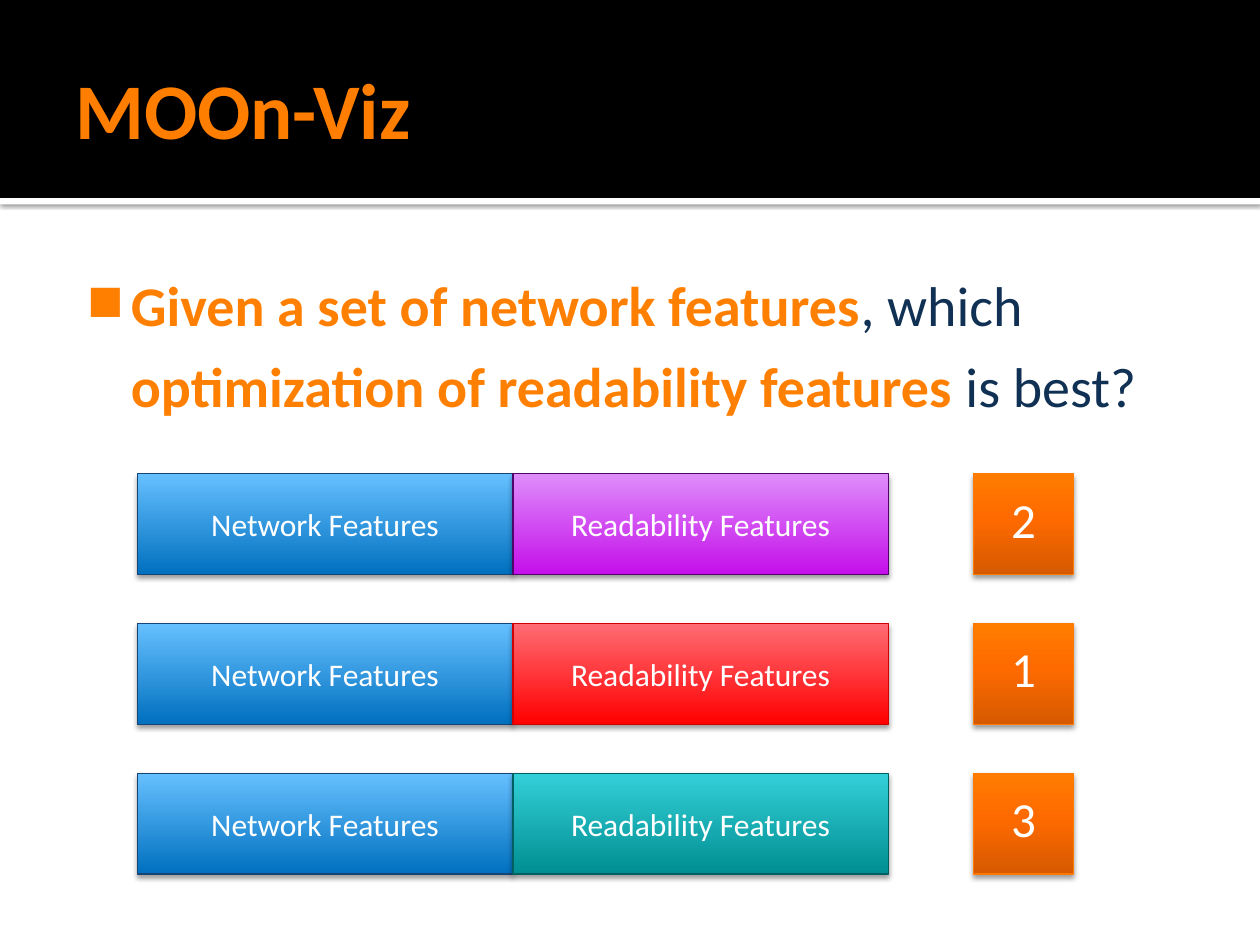
from pptx import Presentation
from pptx.dml.color import RGBColor
from pptx.enum.shapes import MSO_SHAPE
from pptx.enum.text import MSO_ANCHOR, MSO_AUTO_SIZE, PP_ALIGN
from pptx.oxml import parse_xml
from pptx.oxml.ns import nsdecls
from pptx.util import Cm, Pt

RECTANGLE = MSO_SHAPE.RECTANGLE
TOP, MIDDLE = MSO_ANCHOR.TOP, MSO_ANCHOR.MIDDLE
LEFT, CENTER = PP_ALIGN.LEFT, PP_ALIGN.CENTER
NO_AUTOFIT = MSO_AUTO_SIZE.NONE

FONT = "Calibri"
ORANGE, NAVY, WHITE, BLACK = "FF7F01", "103154", "FFFFFF", "000000"

TITLE = "MOOn-Viz"
QUESTION = [
    ("Given a set of network features", ORANGE, True),
    (", which ", NAVY, False),
    ("optimization of readability features ", ORANGE, True),
    ("is best?", NAVY, False),
]
BLUE_STYLE = ([(0, "0070BF"), (100, "66C0FF")], "164575")
PURPLE_STYLE = ([(0, "C50FEA"), (100, "DE8DFA")], "4E0468")
RED_STYLE = ([(0, "FF0000"), (100, "FF6C74")], "D10002")
TEAL_STYLE = ([(0, "008F92"), (100, "33CFD8")], "005F61")
RANK_STYLE = ([(0, "D65900"), (55, "FE6A00"), (100, "FF7C00")], "FF7B00")
ROWS = [("2", PURPLE_STYLE), ("1", RED_STYLE), ("3", TEAL_STYLE)]

ROW_TOP, ROW_STEP, ROW_HEIGHT = 9.55, 3.02, 2.03
BAR_LEFT, BAR_WIDTH = 2.77, 7.57
RANK_LEFT, RANK_WIDTH = 19.63, 2.01


def color(code):
    return RGBColor.from_string(code)


def write(shape, spans, size, align=LEFT, anchor=MIDDLE, spacing=1.0,
          insets=(0.25, 0.13, 0.25, 0.13), bullet=False):
    frame = shape.text_frame
    frame.word_wrap = True
    frame.auto_size = NO_AUTOFIT
    frame.vertical_anchor = anchor
    (frame.margin_left, frame.margin_top,
     frame.margin_right, frame.margin_bottom) = map(Cm, insets)
    para = frame.paragraphs[0]
    para.alignment = align
    para.line_spacing = spacing
    if bullet:
        add_bullet(para)
    for text, code, bold in spans:
        span = para.add_run()
        span.text = text
        span.font.name = FONT
        span.font.size = Pt(size)
        span.font.bold = bold
        span.font.color.rgb = color(code)


def add_bullet(para):
    properties = para._p.get_or_add_pPr()
    properties.set("marL", str(Cm(1.22)))
    properties.set("indent", str(-Cm(0.89)))
    for body in (f'buClr {nsdecls("a")}><a:srgbClr val="{ORANGE}"/></a:buClr',
                 f'buSzPct {nsdecls("a")} val="80000"/',
                 f'buChar {nsdecls("a")} char="◼"/'):
        properties.append(parse_xml(f"<a:{body}>"))


def add_shadow(shape, opacity, blur, distance):
    shape._element.spPr.append(parse_xml(
        f'<a:effectLst {nsdecls("a")}><a:outerShdw blurRad="{Pt(blur)}" '
        f'dist="{Pt(distance)}" dir="5400000" rotWithShape="0">'
        f'<a:srgbClr val="{BLACK}"><a:alpha val="{opacity * 1000}"/></a:srgbClr>'
        '</a:outerShdw></a:effectLst>'))


def add_rectangle(page, left, top, width, height):
    return page.shapes.add_shape(RECTANGLE, Cm(left), Cm(top), Cm(width), Cm(height))


def add_band(page, top, height, code):
    band = add_rectangle(page, 0, top, 25.4, height)
    band.fill.solid()
    band.fill.fore_color.rgb = color(code)
    band.line.fill.background()
    return band


def add_block(page, left, top, width, style, text, size, spacing=1.0):
    stops, outline = style
    block = add_rectangle(page, left, top, width, ROW_HEIGHT)
    block.line.color.rgb = color(outline)
    block.line.width = Pt(0.75)
    stop_list = "".join(
        f'<a:gs pos="{place * 1000}"><a:srgbClr val="{code}"/></a:gs>'
        for place, code in stops)
    block._element.spPr.insert(2, parse_xml(
        f'<a:gradFill {nsdecls("a")} rotWithShape="1"><a:gsLst>{stop_list}</a:gsLst>'
        '<a:lin ang="16200000" scaled="0"/></a:gradFill>'))
    add_shadow(block, 38, 3.1, 2)
    write(block, [(text, WHITE, False)], size, align=CENTER, spacing=spacing)


def main():
    deck = Presentation()
    deck.slide_width, deck.slide_height = Cm(25.4), Cm(19.05)
    page = deck.slides.add_slide(deck.slide_layouts[5])

    add_shadow(add_band(page, 3.99, 0.13, WHITE), 60, 2.5, 0.8)
    add_band(page, 0, 3.99, BLACK).shadow.inherit = False

    title = page.shapes.title
    page.shapes._spTree.append(title._element)
    title.left, title.top, title.width, title.height = map(Cm, (1.27, 0.43, 22.86, 3.48))
    write(title, [(TITLE, "FF7E00", True)], 45, insets=(0.25, 0.13, 0.13, 0.13))

    question = page.shapes.add_textbox(Cm(1.27), Cm(4.93), Cm(22.86), Cm(12.85))
    write(question, QUESTION, 32, anchor=TOP, spacing=1.2,
          insets=(0.15, 0.25, 0.25, 0.13), bullet=True)

    for index, (rank, style) in enumerate(ROWS):
        top = ROW_TOP + index * ROW_STEP
        add_block(page, BAR_LEFT, top, BAR_WIDTH, BLUE_STYLE, "Network Features", 18)
        add_block(page, BAR_LEFT + BAR_WIDTH, top, BAR_WIDTH, style,
                  "Readability Features", 18)
        add_block(page, RANK_LEFT, top, RANK_WIDTH, RANK_STYLE, rank, 28, spacing=0.8)

    deck.save("out.pptx")


if __name__ == "__main__":
    main()
